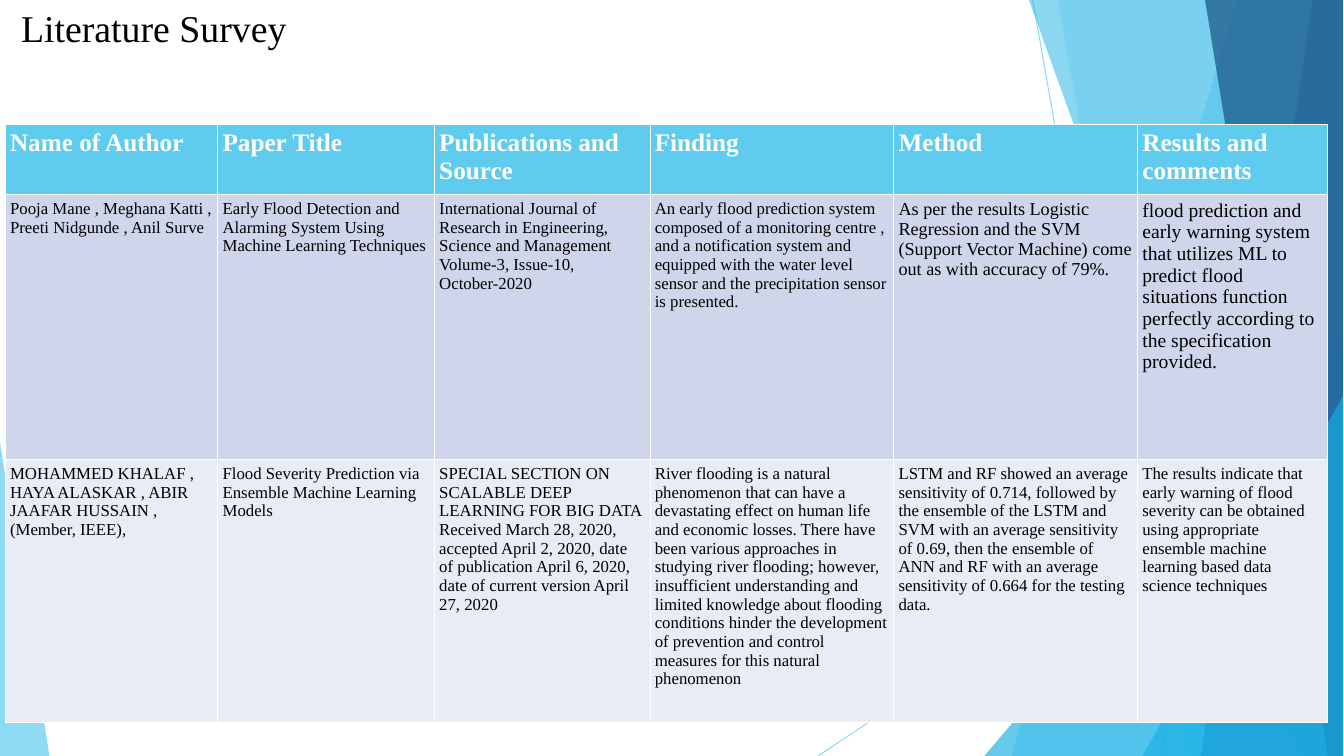
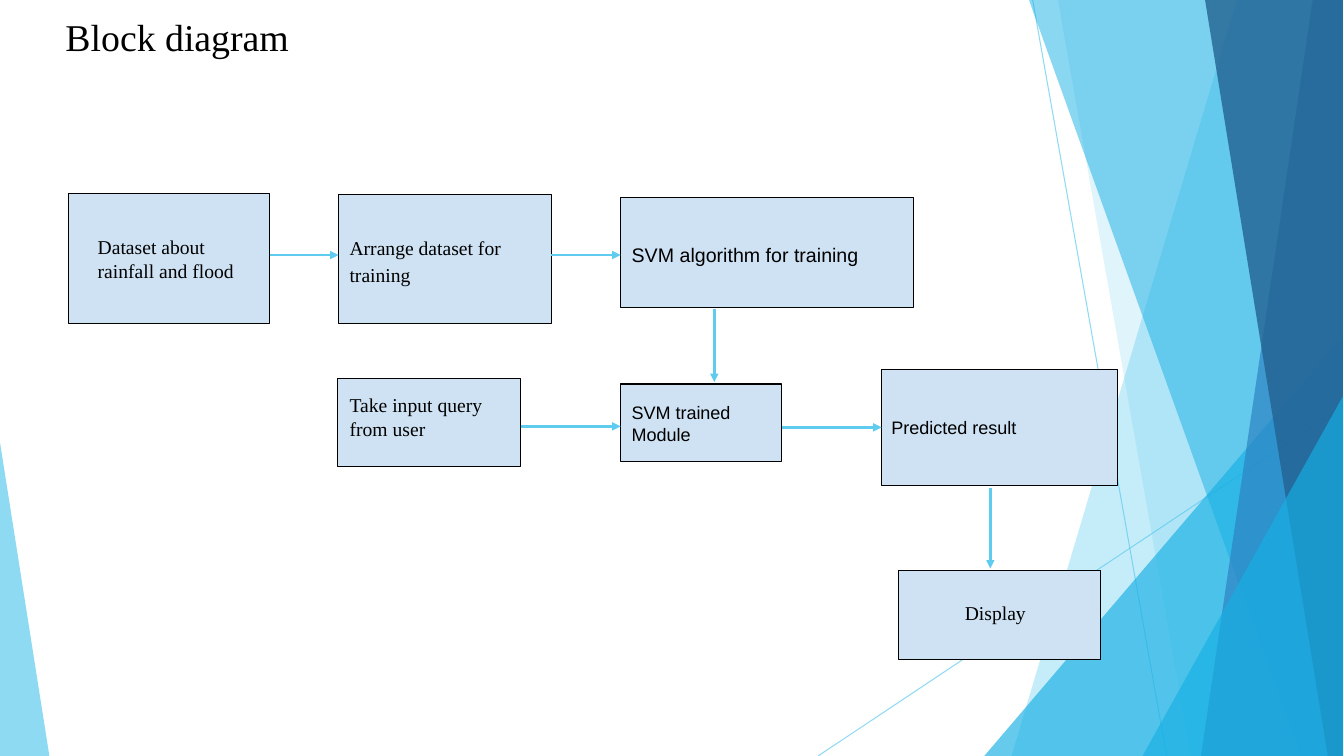
from lxml import etree
from pptx import Presentation
from pptx import util as u
from pptx.dml.color import RGBColor
from pptx.enum import shapes, text
from pptx.oxml.ns import qn

PX = 9144  # EMU; 100 px to the inch
SLIDE_W, SLIDE_H = 1334, 750
SERIF, SANS = "Times New Roman", "Arial"

BLACK = RGBColor(0x00, 0x00, 0x00)
WHITE = RGBColor(0xFF, 0xFF, 0xFF)
SKY = RGBColor(0x5F, 0xCB, 0xEF)
CYAN = RGBColor(0x17, 0xB0, 0xE4)
BLUE = RGBColor(0x2E, 0x83, 0xC3)
NAVY = RGBColor(0x23, 0x62, 0x92)
BLOCK = RGBColor(0xCF, 0xE2, 0xF3)
BAND_DARK = RGBColor(0xCF, 0xD5, 0xEA)
BAND_LIGHT = RGBColor(0xE9, 0xEB, 0xF5)

# Backdrop, from back to front
RAYS = [(1025, 0, 1158, 750), (1333, 403, 812, 750)]
RIGHT_EDGE = 1333
FACETS = [  # slant: top x, bottom x; peak: left, top, width, apex
    ("slant", (1228, 1004), SKY, 36),
    ("slant", (1050, 1182), SKY, 20),
    ("peak", (977, 333, 356, 1), CYAN, 66),
    ("slant", (1021, 1291), CYAN, 50),
    ("slant", (1303, 1192), BLUE, 70),
    ("slant", (1196, 1318), NAVY, 80),
    ("peak", (1134, 393, 199, 1), CYAN, 66),
    ("peak", (0, 439, 49, 0), SKY, 70),
]

SURVEY_TITLE = ("Literature Survey", (11, 0, 1018, 207))
SURVEY_AT = (5, 123)
COLUMN_WIDTHS = [211, 215, 214, 242, 242, 189]
SURVEY_ROWS = [  # height, fill, font sizes, cells
    (70, SKY, [18] * 6,
     ["Name of Author", "Paper Title", "Publications and Source", "Finding",
      "Method", "Results and comments"]),
    (263, BAND_DARK, [12, 12, 12, 12, 13, 14],
     ["Pooja Mane , Meghana Katti , Preeti Nidgunde , Anil Surve",
      "Early Flood Detection and Alarming System Using Machine Learning "
      "Techniques",
      "International Journal of Research in Engineering, Science and "
      "Management Volume-3, Issue-10, October-2020",
      "An early flood prediction system composed of a monitoring centre , and "
      "a notification system and equipped with the water level sensor and the "
      "precipitation sensor is presented.",
      "As per the results Logistic Regression and the SVM (Support Vector "
      "Machine) come out as with accuracy of 79%.",
      "flood prediction and early warning system that utilizes ML to predict "
      "flood situations function perfectly according to the specification "
      "provided."]),
    (261, BAND_LIGHT, [12] * 6,
     ["MOHAMMED KHALAF , HAYA ALASKAR , ABIR JAAFAR HUSSAIN , "
      "(Member, IEEE),",
      "Flood Severity Prediction via Ensemble Machine Learning Models",
      "SPECIAL SECTION ON SCALABLE DEEP LEARNING FOR BIG DATA Received March "
      "28, 2020, accepted April 2, 2020, date of publication April 6, 2020, "
      "date of current version April 27, 2020",
      "River flooding is a natural phenomenon that can have a devastating "
      "effect on human life and economic losses. There have been various "
      "approaches in studying river flooding; however, insufficient "
      "understanding and limited knowledge about flooding conditions hinder "
      "the development of prevention and control measures for this natural "
      "phenomenon",
      "LSTM and RF showed an average sensitivity of 0.714, followed by the "
      "ensemble of the LSTM and SVM with an average sensitivity of 0.69, then "
      "the ensemble of ANN and RF with an average sensitivity of 0.664 for "
      "the testing data.",
      "The results indicate that early warning of flood severity can be "
      "obtained using appropriate ensemble machine learning based data "
      "science techniques"]),
]

DIAGRAM_TITLE = ("Block diagram", (55, 9, 1150, 145))
BLOCKS = {  # text, box, margins (left, top, right, bottom), text format
    "dataset": ("Dataset about rainfall and flood", (68, 192, 200, 129),
                (29, 5, 28, 5), {}),
    "arrange": ("Arrange dataset for training", (336, 193, 211, 128),
                (11, 10, 10, 10), dict(spacing=1.15)),
    "training": ("SVM algorithm for training", (616, 196, 291, 109),
                 (11, 10, 10, 10), dict(font=SANS, spacing=1.15)),
    "query": ("Take input query\nfrom user", (335, 376, 182, 87),
              (12, 5, 5, 17), {}),
    "trained": ("SVM trained Module", (616, 381, 160, 77),
                (11, 5, 10, 5), dict(font=SANS, size=12.9, spacing=1.05)),
    "result": ("Predicted result", (875, 367, 234, 115),
               (10, 10, 10, 10), dict(font=SANS, size=12.9, spacing=0.95)),
    "display": ("Display", (892, 566, 200, 88),
                (5, 5, 13, 10), dict(align=text.PP_ALIGN.CENTER)),
}
ARROW_GAP = 2
ACROSS = [("dataset", "arrange", 253), ("arrange", "training", 253),
          ("query", "trained", 423), ("trained", "result", 424)]
DOWN = [("training", "trained", 709), ("result", "display", 983)]


def px(*lengths):
    return [u.Emu(n * PX) for n in lengths]


def write(frame, words, size=14, font=SERIF, color=BLACK, bold=False,
          align=text.PP_ALIGN.LEFT, spacing=1.0):
    frame.text = words
    frame.word_wrap = True
    for paragraph in frame.paragraphs:
        paragraph.alignment = align
        paragraph.line_spacing = spacing
        face = paragraph.font
        face.size, face.name, face.bold = u.Pt(size), font, bold
        face.color.rgb = color


def set_opacity(shape, percent):
    color = shape.element.spPr.find(".//" + qn("a:srgbClr"))
    etree.SubElement(color, qn("a:alpha")).set("val", str(percent * 1000))


def add_line(slide, ends, width, arrow=False):
    line = slide.shapes.add_connector(shapes.MSO_CONNECTOR.STRAIGHT, *px(*ends))
    line.line.color.rgb = SKY
    line.line.width = u.Pt(width)
    properties = line.element.spPr
    if arrow:
        tip = etree.SubElement(properties.find(qn("a:ln")), qn("a:tailEnd"))
        tip.set("type", "triangle")
    etree.SubElement(properties, qn("a:effectLst"))
    return line


def add_facet(slide, kind, place, color, opacity):
    if kind == "slant":
        top_x, bottom_x = place
        outline = slide.shapes.build_freeform(top_x, -1, scale=PX)
        outline.add_line_segments([(RIGHT_EDGE, -1), (RIGHT_EDGE, SLIDE_H),
                                   (bottom_x, SLIDE_H)], close=True)
        facet = outline.convert_to_shape()
    else:
        left, top, width, apex = place
        facet = slide.shapes.add_shape(
            shapes.MSO_SHAPE.ISOSCELES_TRIANGLE,
            *px(left, top, width, SLIDE_H - top))
        facet.adjustments[0] = apex
    facet.shadow.inherit = False
    facet.fill.solid()
    facet.fill.fore_color.rgb = color
    facet.line.fill.background()
    set_opacity(facet, opacity)
    return facet


def move_backdrop_to_layout(slide):
    """Draw the backdrop on the slide, then hand its parts to the layout."""
    parts = [add_line(slide, ends, 0.75) for ends in RAYS]
    for ray in parts:
        set_opacity(ray, 70)
    parts += [add_facet(slide, *facet) for facet in FACETS]
    tree = slide.slide_layout.shapes.element
    for index, part in enumerate(parts):
        part.element.find(".//" + qn("p:cNvPr")).set("id", str(100 + index))
        tree.insert(2 + index, part.element)


def add_titled_slide(deck, words, box):
    slide = deck.slides.add_slide(deck.slide_layouts[5])
    title = slide.shapes.title
    title.left, title.top, title.width, title.height = px(*box)
    write(title.text_frame, words, size=27)
    title.text_frame.auto_size = text.MSO_AUTO_SIZE.NONE
    title.text_frame.vertical_anchor = text.MSO_ANCHOR.TOP
    return slide


def set_borders(cell, **widths):
    for side in "LRTB":
        edge = etree.SubElement(cell._tc.get_or_add_tcPr(), qn("a:ln" + side))
        edge.set("w", str(u.Pt(widths.get(side, 0.45))))
        fill = etree.SubElement(edge, qn("a:solidFill"))
        etree.SubElement(fill, qn("a:srgbClr")).set("val", str(WHITE))


def add_survey(slide):
    height = sum(row[0] for row in SURVEY_ROWS)
    table = slide.shapes.add_table(
        len(SURVEY_ROWS), len(COLUMN_WIDTHS),
        *px(*SURVEY_AT, sum(COLUMN_WIDTHS), height)).table
    table.first_row = table.horz_banding = False
    for column, width in zip(table.columns, COLUMN_WIDTHS):
        column.width = u.Emu(width * PX)
    for r, (row_height, fill, sizes, entries) in enumerate(SURVEY_ROWS):
        table.rows[r].height = u.Emu(row_height * PX)
        header = r == 0
        rule = {0: {"B": 1.47}, 1: {"T": 1.47}}.get(r, {})
        for c, (size, entry) in enumerate(zip(sizes, entries)):
            cell = table.cell(r, c)
            set_borders(cell, **rule)
            cell.fill.solid()
            cell.fill.fore_color.rgb = fill
            cell.margin_left = cell.margin_right = u.Emu(5 * PX)
            cell.margin_top = cell.margin_bottom = u.Emu(5 * PX)
            write(cell.text_frame, entry, size=size, bold=header,
                  color=WHITE if header else BLACK)


def add_block(slide, words, box, margins, style):
    block = slide.shapes.add_shape(shapes.MSO_SHAPE.RECTANGLE, *px(*box))
    block.shadow.inherit = False
    block.fill.solid()
    block.fill.fore_color.rgb = BLOCK
    block.line.color.rgb = BLACK
    block.line.width = u.Pt(0.75)
    frame = block.text_frame
    (frame.margin_left, frame.margin_top,
     frame.margin_right, frame.margin_bottom) = px(*margins)
    frame.vertical_anchor = text.MSO_ANCHOR.MIDDLE
    write(frame, words, **style)


def add_diagram(slide):
    for block in BLOCKS.values():
        add_block(slide, *block)
    boxes = {name: block[1] for name, block in BLOCKS.items()}
    for source, target, y in ACROSS:
        left, _, width, _ = boxes[source]
        add_line(slide, (left + width, y, boxes[target][0], y), 2, arrow=True)
    for source, target, x in DOWN:
        _, top, _, height = boxes[source]
        add_line(slide, (x, top + height + ARROW_GAP,
                         x, boxes[target][1] - ARROW_GAP), 2, arrow=True)


def main():
    deck = Presentation()
    deck.slide_width, deck.slide_height = px(SLIDE_W, SLIDE_H)
    survey = add_titled_slide(deck, *SURVEY_TITLE)
    move_backdrop_to_layout(survey)
    add_survey(survey)
    add_diagram(add_titled_slide(deck, *DIAGRAM_TITLE))
    deck.save("out.pptx")


if __name__ == "__main__":
    main()
